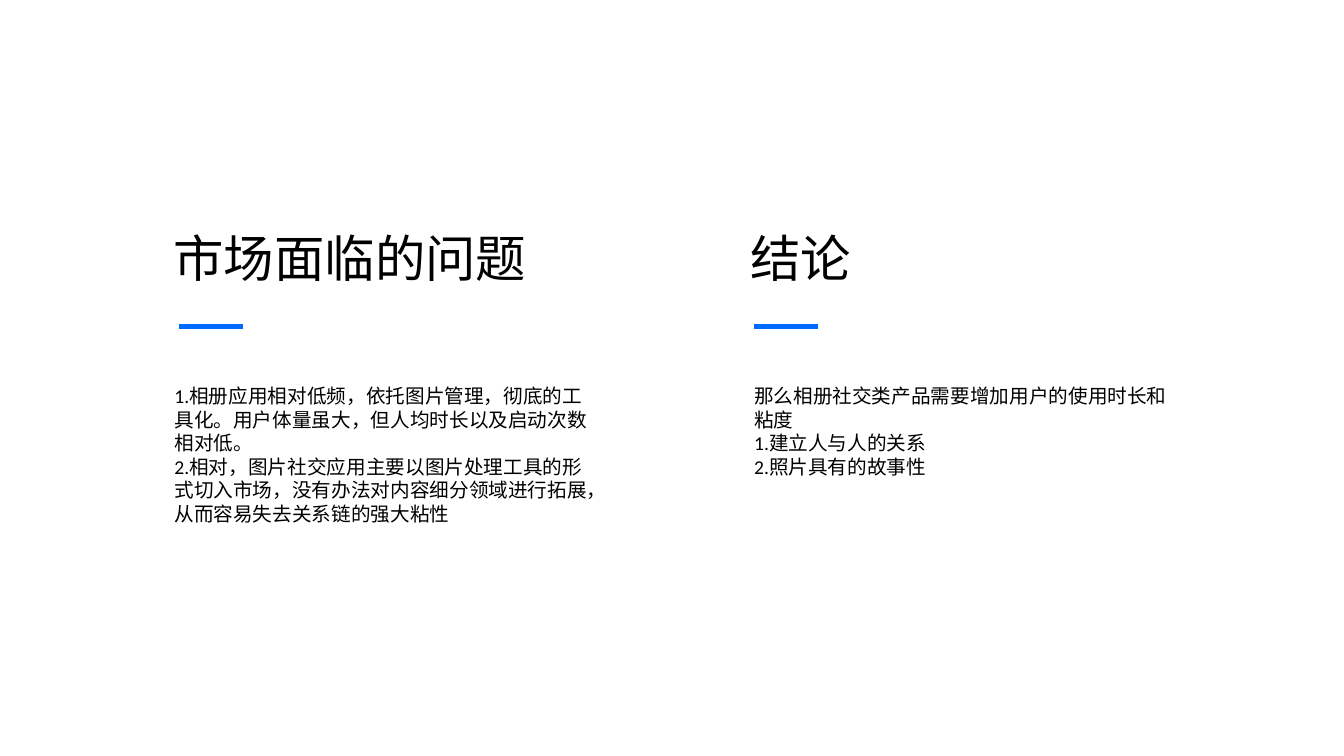
"""Build a two-column slide on market problems and the conclusion."""
from dataclasses import dataclass

import pptx
import pptx.dml.color
import pptx.enum.shapes
import pptx.enum.text
import pptx.oxml
import pptx.oxml.ns
import pptx.shapes.base
import pptx.slide
import pptx.text.text
import pptx.util

Inches = pptx.util.Inches
COLORS = {"text": "000000", "accent": "006BFF", "background": "FFFFFF"}
HEADING_TOP, HEADING_HEIGHT = 2.32, 0.59
RULE_TOP, RULE_LENGTH = 3.24, 0.63
BODY_TOP, BODY_WIDTH = 3.81, 4.28


@dataclass(frozen=True)
class Column:
    """A heading, a short rule and body paragraphs."""

    heading: str
    heading_left: float
    heading_width: float
    rule_left: float
    body_left: float
    body_height: float
    points: tuple[str, ...]
    is_title: bool = False


COLUMNS = (
    Column("市场面临的问题", 1.62, 3.74, 1.78, 1.73, 1.41, (
        "1.相册应用相对低频，依托图片管理，彻底的工具化。用户体量虽大，但人均时长以及启动次数相对低。",
        "2.相对，图片社交应用主要以图片处理工具的形式切入市场，没有办法对内容细分领域进行拓展，从而容易失去关系链的强大粘性",
    ), is_title=True),
    Column("结论", 7.34, 1.21, 7.48, 7.48, 0.94, (
        "那么相册社交类产品需要增加用户的使用时长和粘度",
        "1.建立人与人的关系",
        "2.照片具有的故事性",
    )),
)


def color(name: str) -> pptx.dml.color.RGBColor:
    """Look up a named colour."""
    return pptx.dml.color.RGBColor.from_string(COLORS[name])


def write(frame: pptx.text.text.TextFrame, text: str, font_name: str,
          size: int, wrap: bool, spacing: float) -> None:
    """Fill a text frame with left-aligned, top-anchored text."""
    frame.text = text
    frame.word_wrap = wrap
    frame.auto_size = pptx.enum.text.MSO_AUTO_SIZE.SHAPE_TO_FIT_TEXT
    frame.vertical_anchor = pptx.enum.text.MSO_ANCHOR.TOP
    for paragraph in frame.paragraphs:
        paragraph.alignment = pptx.enum.text.PP_ALIGN.LEFT
        paragraph.line_spacing = spacing
        for run in paragraph.runs:
            run.font.name = font_name
            run.font.size = pptx.util.Pt(size)
            run.font.color.rgb = color("text")


def add_heading(slide: pptx.slide.Slide, column: Column) -> None:
    """Place the column heading, in the title placeholder if it is the title."""
    box = (Inches(column.heading_left), Inches(HEADING_TOP),
           Inches(column.heading_width), Inches(HEADING_HEIGHT))
    if column.is_title:
        heading = slide.shapes.title
        heading.left, heading.top, heading.width, heading.height = box
    else:
        heading = slide.shapes.add_textbox(*box)
    write(heading.text_frame, column.heading, "Roboto Condensed", 36, False, 0.8)


def add_rule(slide: pptx.slide.Slide, column: Column) -> None:
    """Draw the accent rule under the heading."""
    rule = slide.shapes.add_connector(
        pptx.enum.shapes.MSO_CONNECTOR.STRAIGHT,
        Inches(column.rule_left), Inches(RULE_TOP),
        Inches(column.rule_left + RULE_LENGTH), Inches(RULE_TOP))
    rule.line.color.rgb = color("accent")
    rule.line.width = pptx.util.Pt(3)
    properties = rule._element.spPr
    properties.append(pptx.oxml.parse_xml(
        f'<a:effectLst {pptx.oxml.ns.nsdecls("a")}/>'))


def add_body(slide: pptx.slide.Slide, column: Column) -> None:
    """Place the body paragraphs of a column."""
    body = slide.shapes.add_textbox(
        Inches(column.body_left), Inches(BODY_TOP),
        Inches(BODY_WIDTH), Inches(column.body_height))
    frame = body.text_frame
    frame.margin_left = frame.margin_top = frame.margin_bottom = 0
    frame.margin_right = Inches(0.1)
    write(frame, "\n".join(column.points), "Calibri", 14, True, 1.0)


def main() -> None:
    """Build and save the slide."""
    deck = pptx.Presentation()
    deck.slide_width, deck.slide_height = Inches(13.33), Inches(7.5)
    slide = deck.slides.add_slide(deck.slide_layouts.get_by_name("Title Only"))
    slide.background.fill.solid()
    slide.background.fill.fore_color.rgb = color("background")
    for column in COLUMNS:
        add_heading(slide, column)
        add_rule(slide, column)
        add_body(slide, column)
    deck.save("out.pptx")


if __name__ == "__main__":
    main()
